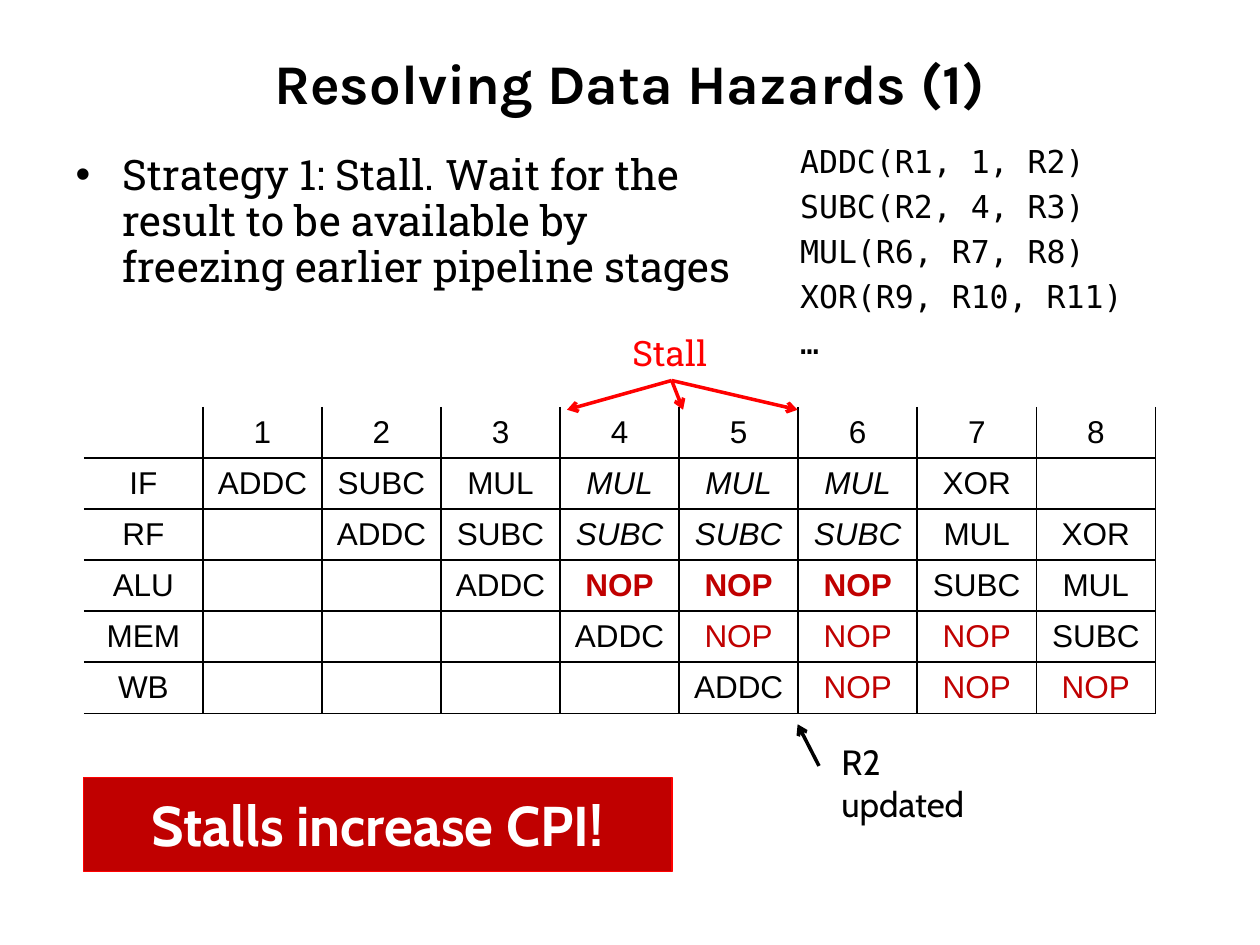
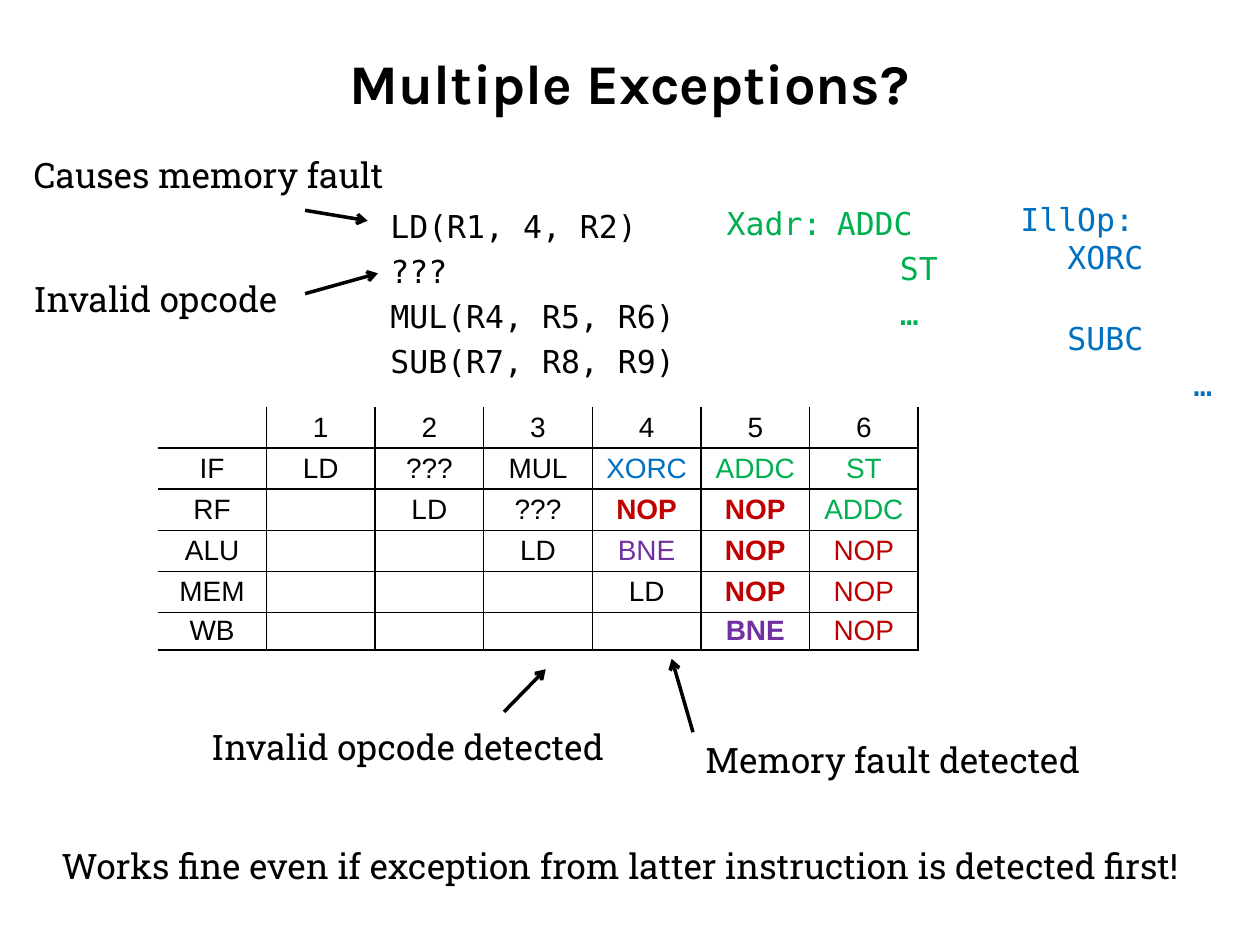
"""Build two slides on pipeline stalls and pipeline exceptions."""
from lxml.etree import SubElement
from pptx import Presentation
from pptx.dml.color import RGBColor
from pptx.enum.shapes import MSO_CONNECTOR, MSO_SHAPE
from pptx.enum.text import MSO_ANCHOR, MSO_AUTO_SIZE, PP_ALIGN
from pptx.oxml.ns import qn
from pptx.util import Cm, Pt

BLACK, WHITE = "000000", "FFFFFF"
RED, DARK_RED = "FF0000", "C00000"
GREEN, BLUE, PURPLE = "00B050", "0070C0", "7030A0"
TITLE_FONT, BODY_FONT, NOTE_FONT = "Karla", "Roboto Slab", "Cabin"
CODE_FONT, TABLE_FONT = "DejaVu Sans Mono", "Arial"
NO_GRID_STYLE = "{2D5ABB26-0587-4C30-8999-92F81FD0307C}"
TITLE_PLACE = (1.27, 0.76, 22.86, 1.78)
TABLE_TOP = 8.2
CODE_INDENT, DEEP_INDENT = 0.95, 3.49

CELL_STYLES = {
    "": (BLACK, False, False),
    "frozen": (BLACK, False, True),
    "bubble": (DARK_RED, True, False),
    "nop": (DARK_RED, False, False),
    "illop": (BLUE, False, False),
    "xadr": (GREEN, False, False),
    "bne": (PURPLE, False, False),
    "bne bold": (PURPLE, True, False),
}

STALL_ROWS = [
    ["", "1", "2", "3", "4", "5", "6", "7", "8"],
    ["IF", "ADDC", "SUBC", "MUL", "MUL|frozen", "MUL|frozen", "MUL|frozen", "XOR", ""],
    ["RF", "", "ADDC", "SUBC", "SUBC|frozen", "SUBC|frozen", "SUBC|frozen", "MUL", "XOR"],
    ["ALU", "", "", "ADDC", "NOP|bubble", "NOP|bubble", "NOP|bubble", "SUBC", "MUL"],
    ["MEM", "", "", "", "ADDC", "NOP|nop", "NOP|nop", "NOP|nop", "SUBC"],
    ["WB", "", "", "", "", "ADDC", "NOP|nop", "NOP|nop", "NOP|nop"],
]

EXCEPTION_ROWS = [
    ["", "1", "2", "3", "4", "5", "6"],
    ["IF", "LD", "???", "MUL", "XORC|illop", "ADDC|xadr", "ST|xadr"],
    ["RF", "", "LD", "???", "NOP|bubble", "NOP|bubble", "ADDC|xadr"],
    ["ALU", "", "", "LD", "BNE|bne", "NOP|bubble", "NOP|nop"],
    ["MEM", "", "", "", "LD", "NOP|bubble", "NOP|nop"],
    ["WB", "", "", "", "", "BNE|bne bold", "NOP|nop"],
]


def rgb(color):
    """Turn a hex string into a colour."""
    return RGBColor.from_string(color)


def lengths(values):
    """Turn numbers of centimetres into lengths."""
    return [Cm(value) for value in values]


def style(paragraph, font_name, size, color=BLACK, bold=False, italic=False):
    """Set the font of a whole paragraph."""
    font = paragraph.font
    font.name, font.size = font_name, Pt(size)
    font.bold, font.italic = bold, italic
    font.color.rgb = rgb(color)


def set_indent(paragraph, left, first_line=0):
    """Set the left margin and the first-line offset of a paragraph."""
    properties = paragraph._p.get_or_add_pPr()
    properties.set("marL", str(Cm(left)))
    properties.set("indent", str(Cm(first_line)))


def move(shape, place):
    """Put a placeholder at a place and keep its text unscaled."""
    shape.left, shape.top, shape.width, shape.height = lengths(place)
    shape.text_frame.auto_size = MSO_AUTO_SIZE.NONE


def add_slide(presentation, layout_index, title):
    """Add a slide with the shared title style."""
    slide = presentation.slides.add_slide(presentation.slide_layouts[layout_index])
    shape = slide.shapes.title
    move(shape, TITLE_PLACE)
    shape.text_frame.vertical_anchor = MSO_ANCHOR.MIDDLE
    shape.text_frame.text = title
    paragraph = shape.text_frame.paragraphs[0]
    paragraph.alignment = PP_ALIGN.CENTER
    style(paragraph, TITLE_FONT, 32, bold=True)
    return slide


def fill_body(slide, text, place):
    """Write a bullet in the body placeholder."""
    body = slide.placeholders[1]
    move(body, place)
    body.text_frame.text = text
    paragraph = body.text_frame.paragraphs[0]
    paragraph.line_spacing = 0.91
    paragraph.space_before = Pt(4.8)
    style(paragraph, BODY_FONT, 24)


def add_label(shapes, text, place, font_name=BODY_FONT, color=BLACK, wrap=False):
    """Add a short remark."""
    frame = shapes.add_textbox(*lengths(place)).text_frame
    frame.word_wrap = wrap
    frame.text = text
    style(frame.paragraphs[0], font_name, 20, color)


def add_code(shapes, lines, place, color=BLACK):
    """Add a code listing and return its paragraphs."""
    frame = shapes.add_textbox(*lengths(place)).text_frame
    frame.word_wrap = True
    frame.text = "\n".join(lines)
    for paragraph in frame.paragraphs:
        paragraph.space_before = Pt(4.2)
        set_indent(paragraph, CODE_INDENT, -CODE_INDENT)
        style(paragraph, CODE_FONT, 18, color)
    return frame.paragraphs


def add_arrow(shapes, start, end, color=BLACK):
    """Add a straight arrow."""
    arrow = shapes.add_connector(MSO_CONNECTOR.STRAIGHT, *lengths(start + end))
    arrow.line.color.rgb = rgb(color)
    arrow.line.width = Pt(2)
    SubElement(arrow.line._get_or_add_ln(), qn("a:tailEnd"), type="arrow")
    SubElement(arrow._element.spPr, qn("a:effectLst"))


def add_banner(shapes, text, place):
    """Add a red box with a bold message."""
    banner = shapes.add_shape(MSO_SHAPE.RECTANGLE, *lengths(place))
    banner.shadow.inherit = False
    banner.fill.solid()
    banner.fill.fore_color.rgb = rgb(DARK_RED)
    banner.line.color.rgb = rgb(RED)
    banner.line.width = Pt(0.75)
    banner.text_frame.vertical_anchor = MSO_ANCHOR.MIDDLE
    banner.text_frame.text = text
    paragraph = banner.text_frame.paragraphs[0]
    paragraph.alignment = PP_ALIGN.CENTER
    style(paragraph, NOTE_FONT, 32, WHITE, bold=True)


def add_border(cell, side):
    """Draw one black edge of a table cell."""
    line = SubElement(cell._tc.get_or_add_tcPr(), qn(f"a:{side}"), w=str(Pt(1)))
    fill = SubElement(line, qn("a:solidFill"))
    SubElement(fill, qn("a:srgbClr"), val=BLACK)


def fill_cell(cell, entry, size):
    """Write a cell entry given as text or text|style."""
    text, _, style_name = entry.partition("|")
    for side in ("lnR", "lnB"):
        add_border(cell, side)
    cell.fill.background()
    cell.vertical_anchor = MSO_ANCHOR.MIDDLE
    cell.margin_top = cell.margin_bottom = 0
    cell.text = text
    paragraph = cell.text_frame.paragraphs[0]
    paragraph.alignment = PP_ALIGN.CENTER
    style(paragraph, TABLE_FONT, size, *CELL_STYLES[style_name])


def add_pipeline(shapes, rows, left, column_width, row_heights, size):
    """Add a pipeline diagram with stages down and cycles across."""
    column_count = len(rows[0])
    place = (left, TABLE_TOP, column_width * column_count, sum(row_heights))
    table = shapes.add_table(len(rows), column_count, *lengths(place)).table
    table.first_row = table.horz_banding = False
    table._tbl.tblPr.find(qn("a:tableStyleId")).text = NO_GRID_STYLE
    for column in table.columns:
        column.width = Cm(column_width)
    for row, height, entries in zip(table.rows, row_heights, rows):
        row.height = Cm(height)
        for cell, entry in zip(row.cells, entries):
            fill_cell(cell, entry, size)


def build_stall_slide(presentation):
    """Show how stalling resolves a data hazard."""
    slide = add_slide(presentation, 1, "Resolving Data Hazards (1)")
    shapes = slide.shapes
    strategy = ("Strategy 1: Stall. Wait for the\vresult to be available by\v"
                "freezing earlier pipeline stages")
    fill_body(slide, strategy, (1.27, 2.97, 22.86, 14.05))
    add_pipeline(shapes, STALL_ROWS, 1.69, 2.4, [1.03] * 6, 18)
    program = ["ADDC(R1, 1, R2)", "SUBC(R2, 4, R3)", "MUL(R6, R7, R8)",
               "XOR(R9, R10, R11)", "…"]
    add_code(shapes, program, (15.88, 2.74, 7.62, 5.08))
    add_label(shapes, "R2 updated", (16.71, 14.81, 3.5, 1.12), NOTE_FONT, wrap=True)
    add_arrow(shapes, (16.51, 15.44), (16.08, 14.6))
    add_banner(shapes, "Stalls increase CPI!", (1.69, 15.67, 11.86, 1.9))
    stall = shapes.add_group_shape().shapes
    add_label(stall, "Stall", (12.5, 6.55, 2.08, 1.12), color=RED)
    for cycle_edge in (11.43, 13.77, 16.08):
        add_arrow(stall, (13.54, 7.67), (cycle_edge, 8.26), RED)


def build_exception_slide(presentation):
    """Show two exceptions in flight at the same time."""
    shapes = add_slide(presentation, 5, "Multiple Exceptions?").shapes
    program = ["LD(R1, 4, R2)", "???", "MUL(R4, R5, R6)", "SUB(R7, R8, R9)"]
    add_code(shapes, program, (7.62, 4.04, 6.98, 3.78))
    xadr_handler = add_code(shapes, ["Xadr:\tADDC", "ST", "…"],
                            (14.4, 3.99, 4.88, 2.87), GREEN)
    illop_handler = add_code(shapes, ["IllOp:\vXORC", "SUBC", "…"],
                             (20.32, 3.91, 4.88, 2.87), BLUE)
    for paragraph in (*xadr_handler[1:], illop_handler[2]):
        set_indent(paragraph, DEEP_INDENT)
    set_indent(illop_handler[1], CODE_INDENT)
    illop_handler[1].space_before = Pt(25)
    add_pipeline(shapes, EXCEPTION_ROWS, 3.18, 2.19, [0.83] * 5 + [0.75], 16)
    labels = [
        ("Causes memory fault", (0.43, 2.97, 7.92, 1.12)),
        ("Invalid opcode", (0.43, 5.46, 5.54, 1.12)),
        ("Invalid opcode detected", (4.01, 14.5, 8.66, 1.12)),
        ("Memory fault detected", (13.97, 14.76, 8.28, 1.12)),
        ("Works fine even if exception from latter instruction is detected first!",
         (0.99, 16.89, 24, 1.12)),
    ]
    for text, place in labels:
        add_label(shapes, text, place)
    arrows = [
        ((6.15, 4.24), (7.41, 4.45)),
        ((6.15, 5.92), (7.62, 5.51)),
        ((10.16, 14.35), (11, 13.49)),
        ((13.97, 14.76), (13.54, 13.28)),
    ]
    for start, end in arrows:
        add_arrow(shapes, start, end)


def main():
    """Build and save the presentation."""
    presentation = Presentation()
    presentation.slide_width, presentation.slide_height = Cm(25.4), Cm(19.05)
    build_stall_slide(presentation)
    build_exception_slide(presentation)
    presentation.save("out.pptx")


if __name__ == "__main__":
    main()
